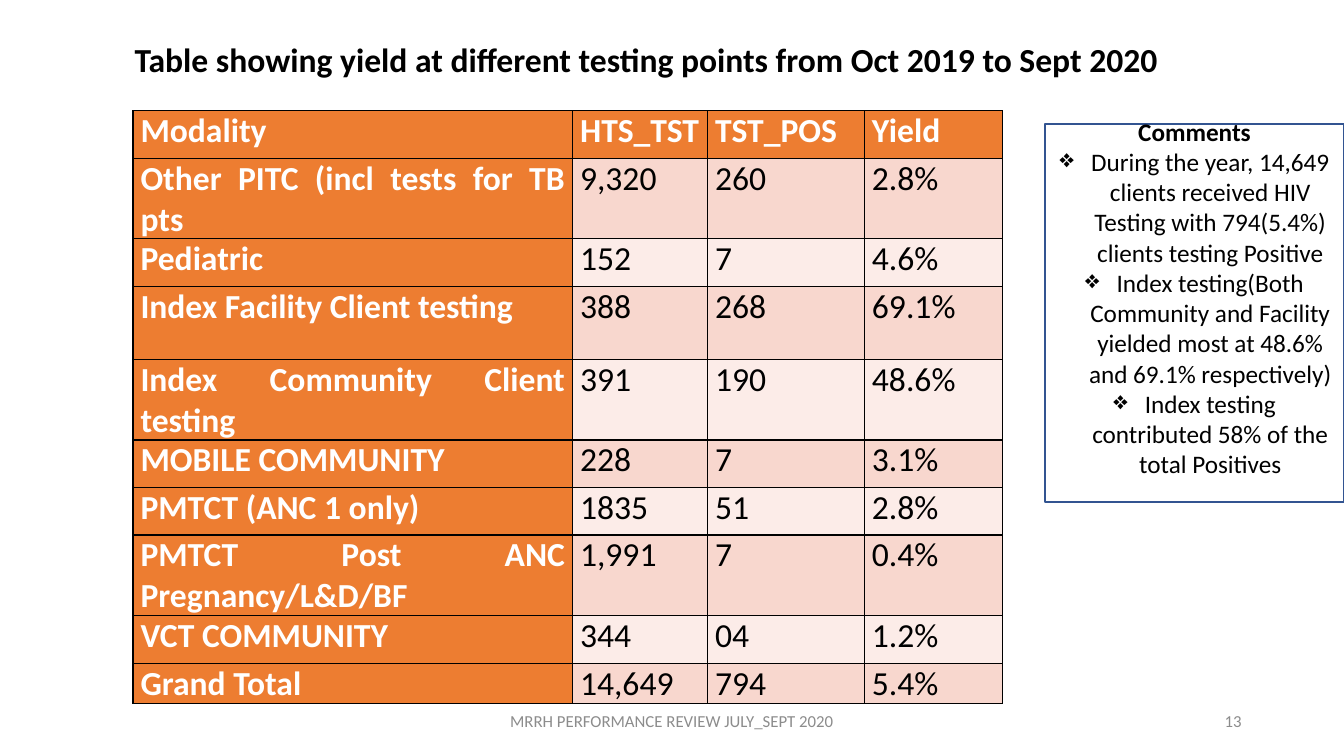
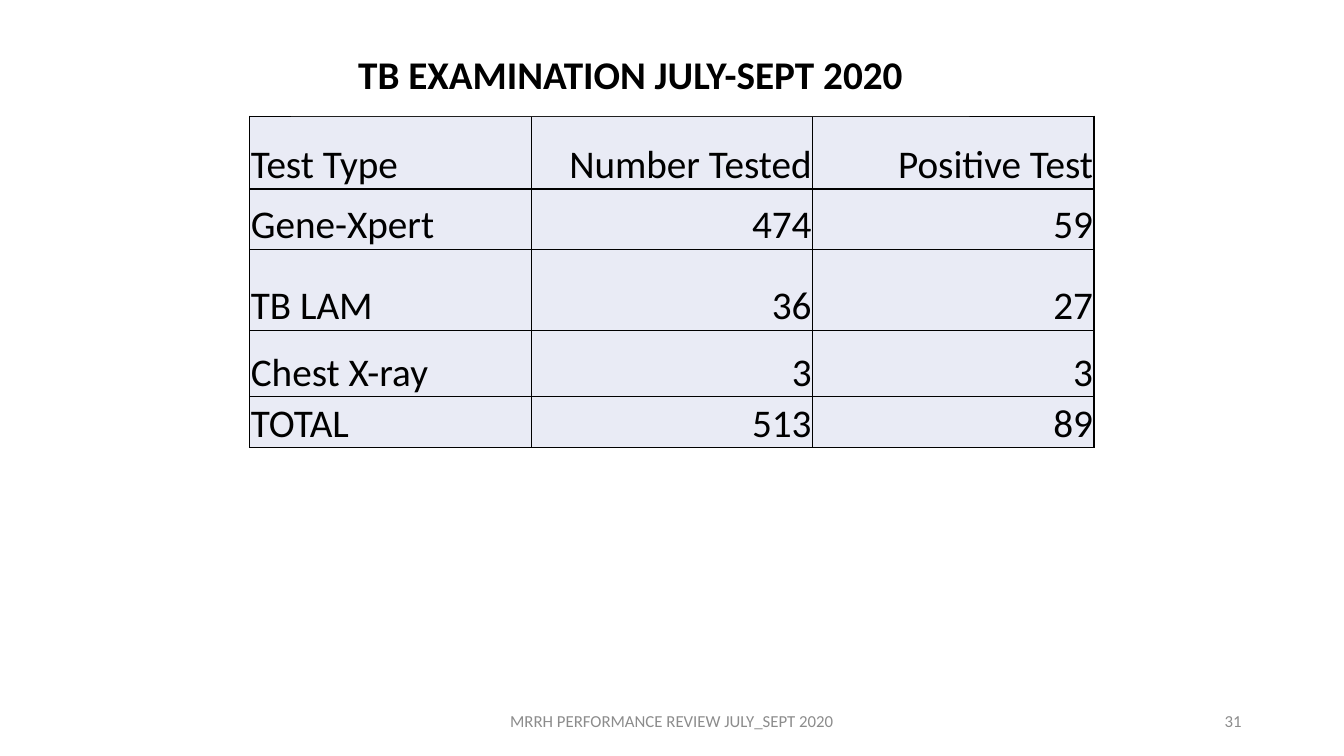
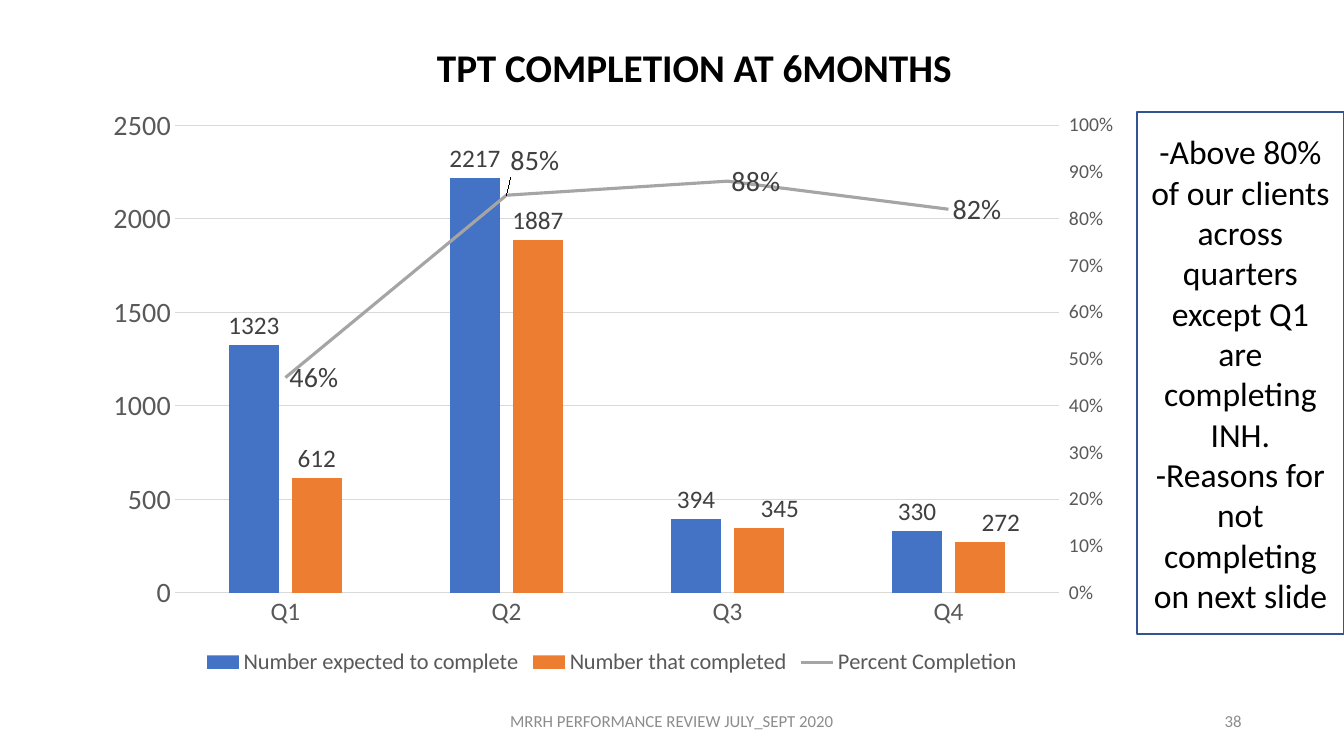
from lxml.etree import SubElement
from pptx import Presentation
from pptx.chart.data import CategoryChartData
from pptx.dml.color import RGBColor
from pptx.enum.chart import XL_CHART_TYPE, XL_LABEL_POSITION, XL_LEGEND_POSITION, XL_MARKER_STYLE, XL_TICK_MARK
from pptx.enum.shapes import MSO_SHAPE
from pptx.enum.text import MSO_ANCHOR, PP_ALIGN
from pptx.oxml import parse_xml
from pptx.oxml.ns import nsdecls, qn
from pptx.util import Pt

FONT = "Calibri"
BLACK, WHITE, GRAY = "000000", "FFFFFF", "8C8C8C"
ORANGE, BLUE, SILVER = "ED7D31", "4472C4", "A5A5A5"
BORDER, GRID, AXIS_TEXT, LABEL_TEXT = "325491", "D9D9D9", "595959", "404040"
BANDS = ["FCECE8", "F8D7CE"]
PALE_BLUE = "E9EBF5"
LEFT, CENTER, RIGHT, JUSTIFY = PP_ALIGN.LEFT, PP_ALIGN.CENTER, PP_ALIGN.RIGHT, PP_ALIGN.JUSTIFY
rgb = RGBColor.from_string


def style_font(font, size, color=BLACK, bold=False):
    font.name, font.size, font.bold = FONT, Pt(size), bold
    font.color.rgb = rgb(color)


def add_box(slide, place, lines, size, align=CENTER, color=BLACK, bold=False,
            anchor=MSO_ANCHOR.MIDDLE, filled=False, line=None):
    place = [Pt(value) for value in place]
    if filled:
        shape = slide.shapes.add_shape(MSO_SHAPE.RECTANGLE, *place)
        shape.shadow.inherit = False
        shape.fill.solid()
        shape.fill.fore_color.rgb = rgb(WHITE)
        if line:
            shape.line.color.rgb = rgb(line)
            shape.line.width = Pt(1)
        else:
            shape.line.fill.background()
    else:
        shape = slide.shapes.add_textbox(*place)
    frame = shape.text_frame
    frame.word_wrap = True
    frame.vertical_anchor = anchor
    frame.text = "\n".join(lines)
    for paragraph in frame.paragraphs:
        paragraph.alignment = align
        style_font(paragraph.font, size, color, bold)
    return frame


presentation = Presentation()
presentation.slide_width, presentation.slide_height = Pt(960), Pt(540)

slides = []
for number in ["13", "31", "38"]:
    slide = presentation.slides.add_slide(presentation.slide_layouts[6])
    add_box(slide, (318, 500.5, 324, 28.5), ["MRRH PERFORMANCE REVIEW JULY_SEPT 2020"], 12, color=GRAY)
    add_box(slide, (678, 500.5, 216, 28.5), [number], 12, RIGHT, GRAY)
    slides.append(slide)
yield_slide, examination_slide, completion_slide = slides

yield_rows = [
    ["Modality", "HTS_TST", "TST_POS", "Yield"],
    ["Other PITC (incl tests for TB pts", "9,320", "260", "2.8%"],
    ["Pediatric", "152", "7", "4.6%"],
    ["Index Facility Client testing", "388", "268", "69.1%"],
    ["Index Community Client testing", "391", "190", "48.6%"],
    ["MOBILE COMMUNITY", "228", "7", "3.1%"],
    ["PMTCT (ANC 1 only)", "1835", "51", "2.8%"],
    ["PMTCT Post ANC Pregnancy/L&D/BF", "1,991", "7", "0.4%"],
    ["VCT COMMUNITY", "344", "04", "1.2%"],
    ["Grand Total", "14,649", "794", "5.4%"],
]
examination_rows = [
    ["Test Type", "Number Tested", "Positive Test"],
    ["Gene-Xpert", "474", "59"],
    ["TB LAM", "36", "27"],
    ["Chest X-ray", "3", "3"],
    ["TOTAL", "513", "89"],
]
tables = [
    (yield_slide, 95, 79, yield_rows, [314, 96.5, 112, 98.5],
     [34, 26.5, 34, 52, 52, 34, 34, 52, 34, 26], True),
    (examination_slide, 178.5, 83, examination_rows, [201] * 3, [52, 43, 58, 47.5, 36.5], False),
]
for slide, left, top, rows, widths, heights, banded in tables:
    table = slide.shapes.add_table(len(rows), len(widths), Pt(left), Pt(top),
                                   Pt(sum(widths)), Pt(sum(heights))).table
    table.first_row = table.horz_banding = False
    for column, width in zip(table.columns, widths):
        column.width = Pt(width)
    for row_index, (row, height) in enumerate(zip(rows, heights)):
        table.rows[row_index].height = Pt(height)
        for column_index, text in enumerate(row):
            cell = table.cell(row_index, column_index)
            cell.text = text
            paragraph = cell.text_frame.paragraphs[0]
            cell.margin_top = cell.margin_bottom = 0
            if banded:
                heading = row_index == 0 or column_index == 0
                fill = ORANGE if heading else BANDS[row_index % 2]
                cell.margin_left = cell.margin_right = Pt(5.4)
                paragraph.alignment = JUSTIFY
                paragraph.space_after = Pt(11)
                style_font(paragraph.font, 24, WHITE if heading else BLACK, heading)
            else:
                fill = PALE_BLUE
                cell.margin_left = cell.margin_right = cell.margin_top = Pt(0.75)
                cell.vertical_anchor = MSO_ANCHOR.BOTTOM
                paragraph.alignment = RIGHT if column_index else LEFT
                style_font(paragraph.font, 28)
            properties = cell._tc.get_or_add_tcPr()
            for side in ["lnL", "lnR", "lnT", "lnB"]:
                edge = SubElement(properties, qn("a:" + side), w=str(Pt(1)))
                SubElement(SubElement(edge, qn("a:solidFill")), qn("a:srgbClr"), val=BLACK)
            cell.fill.solid()
            cell.fill.fore_color.rgb = rgb(fill)

add_box(yield_slide, (89, 24, 805, 36), ["Table showing yield at different testing points from Oct 2019 to Sept 2020"],
        24, LEFT, bold=True, anchor=MSO_ANCHOR.TOP)
comments = add_box(yield_slide, (746.5, 88.5, 213.5, 270), [
    "Comments",
    "During the year, 14,649 clients received HIV Testing with 794(5.4%) clients testing Positive",
    "Index testing(Both Community and Facility yielded most at 48.6% and 69.1% respectively)",
    "Index testing contributed 58% of the total Positives",
], 18, filled=True, line=BORDER)
comments.margin_bottom = Pt(25.5)
comments.paragraphs[0].font.bold = True
for paragraph in comments.paragraphs[1:]:
    properties = paragraph._p.get_or_add_pPr()
    properties.set("marL", str(Pt(22.5)))
    properties.set("indent", str(Pt(-22.5)))
    properties.insert(0, parse_xml(f'<a:buChar {nsdecls("a")} char="❖"/>'))

add_box(examination_slide, (208, 23, 484.5, 60), ["TB EXAMINATION JULY-SEPT 2020"], 28, bold=True, filled=True)

title = add_box(completion_slide, (305, 27.5, 387, 41), ["TPT COMPLETION AT 6MONTHS"],
                28, LEFT, bold=True, anchor=MSO_ANCHOR.TOP)
title.word_wrap = False

chart_data = CategoryChartData()
chart_data.categories = ["Q1", "Q2", "Q3", "Q4"]
chart_data.add_series("Number expected to complete", [1323, 2217, 394, 330])
chart_data.add_series("Number that completed", [612, 1887, 345, 272])
chart_data.add_series("Percent Completion", [0.46, 0.85, 0.88, 0.82], number_format="0%")
chart = completion_slide.shapes.add_chart(XL_CHART_TYPE.COLUMN_CLUSTERED, Pt(65.5), Pt(68.5),
                                          Pt(743), Pt(417.5), chart_data).chart
style_font(chart.font, 10)
chart.has_title = False
chart.has_legend = True
chart.legend.position = XL_LEGEND_POSITION.BOTTOM
chart.legend.include_in_layout = False
style_font(chart.legend.font, 16, AXIS_TEXT)

columns = chart.plots[0]
columns.gap_width, columns.overlap, columns.vary_by_categories = 219, -27, False
category_axis, value_axis = chart.category_axis, chart.value_axis
for axis, size in [(category_axis, 18), (value_axis, 20)]:
    axis.major_tick_mark = axis.minor_tick_mark = XL_TICK_MARK.NONE
    style_font(axis.tick_labels.font, size, AXIS_TEXT)
for line in [category_axis.format.line, value_axis.major_gridlines.format.line]:
    line.color.rgb = rgb(GRID)
    line.width = Pt(0.75)
value_axis.format.line.fill.background()
value_axis.minimum_scale, value_axis.maximum_scale, value_axis.major_unit = 0, 2500, 500

plot_area = chart._chartSpace.chart.plotArea
line_chart = parse_xml(
    f'<c:lineChart {nsdecls("c")}><c:grouping val="standard"/><c:varyColors val="0"/>'
    '<c:marker val="1"/><c:axId val="501"/><c:axId val="502"/></c:lineChart>')
percent_series = plot_area.findall(f'{qn("c:barChart")}/{qn("c:ser")}')[2]
for bar_setting in percent_series.findall(qn("c:invertIfNegative")):
    percent_series.remove(bar_setting)
line_chart.insert(2, percent_series)
plot_area.find(qn("c:barChart")).addnext(line_chart)
percent_axis = parse_xml(
    f'<c:valAx {nsdecls("c", "a")}><c:axId val="502"/>'
    '<c:scaling><c:orientation val="minMax"/><c:max val="1"/><c:min val="0"/></c:scaling>'
    '<c:delete val="0"/><c:axPos val="r"/><c:numFmt formatCode="0%" sourceLinked="0"/>'
    '<c:majorTickMark val="out"/><c:minorTickMark val="none"/><c:tickLblPos val="nextTo"/>'
    '<c:spPr><a:ln><a:noFill/></a:ln></c:spPr>'
    '<c:txPr><a:bodyPr/><a:p><a:pPr><a:defRPr sz="1400" b="0"><a:solidFill>'
    f'<a:srgbClr val="{AXIS_TEXT}"/></a:solidFill><a:latin typeface="{FONT}"/></a:defRPr></a:pPr>'
    '<a:endParaRPr lang="en-US"/></a:p></c:txPr>'
    '<c:crossAx val="501"/><c:crosses val="max"/><c:majorUnit val="0.1"/></c:valAx>')
hidden_axis = parse_xml(
    f'<c:catAx {nsdecls("c")}><c:axId val="501"/>'
    '<c:scaling><c:orientation val="minMax"/></c:scaling><c:delete val="1"/><c:axPos val="b"/>'
    '<c:crossAx val="502"/></c:catAx>')
plot_area.find(qn("c:valAx")).addnext(percent_axis)
percent_axis.addnext(hidden_axis)
for old_layout in plot_area.findall(qn("c:layout")):
    plot_area.remove(old_layout)
plot_area.insert(0, parse_xml(
    f'<c:layout {nsdecls("c")}><c:manualLayout><c:layoutTarget val="inner"/>'
    '<c:xMode val="edge"/><c:yMode val="edge"/><c:x val="0.08"/><c:y val="0.05"/>'
    '<c:w val="0.85"/><c:h val="0.8"/></c:manualLayout></c:layout>'))

expected, completed = columns.series
percent = chart.plots[1].series[0]
for series, color in [(expected, BLUE), (completed, ORANGE)]:
    series.format.fill.solid()
    series.format.fill.fore_color.rgb = rgb(color)
percent.format.line.color.rgb = rgb(SILVER)
percent.format.line.width = Pt(2.25)
percent.marker.style = XL_MARKER_STYLE.NONE
percent.smooth = False

outside, beside = XL_LABEL_POSITION.OUTSIDE_END, XL_LABEL_POSITION.RIGHT
for series, size, number_format, position, shifts in [
    (expected, 18, "General", outside, []),
    (completed, 18, "General", outside, [(2, 0.02, 0), (3, 0.02, 0)]),
    (percent, 20, "0%", beside, [(1, 0, -0.06)]),
]:
    labels = series.data_labels
    labels.show_value = True
    labels.number_format, labels.number_format_is_linked = number_format, False
    labels.position = position
    style_font(labels.font, size, LABEL_TEXT)
    for point_index, shift_x, shift_y in shifts:
        label = series.points[point_index].data_label
        style_font(label.font, size, LABEL_TEXT)
        label.position = position
        index_element = labels._element.find(f'{qn("c:dLbl")}/{qn("c:idx")}[@val="{point_index}"]')
        index_element.addnext(parse_xml(
            f'<c:numFmt {nsdecls("c")} formatCode="{number_format}" sourceLinked="0"/>'))
        index_element.addnext(parse_xml(
            f'<c:layout {nsdecls("c")}><c:manualLayout><c:x val="{shift_x}"/>'
            f'<c:y val="{shift_y}"/></c:manualLayout></c:layout>'))

add_box(completion_slide, (812, 80, 148, 373), [
    "-Above 80% of our clients across quarters except Q1 are completing INH.",
    "-Reasons for not completing on next slide",
], 24, filled=True, line=BORDER)

presentation.save("out.pptx")
